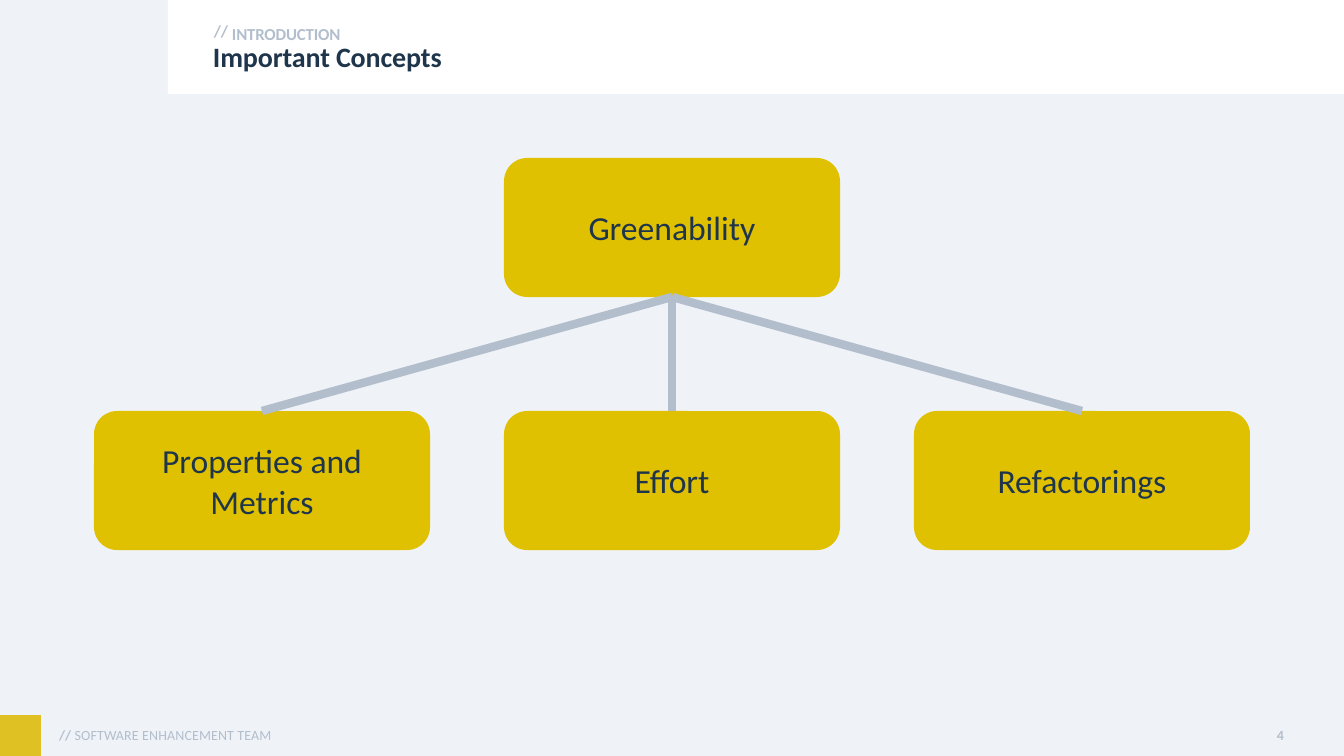
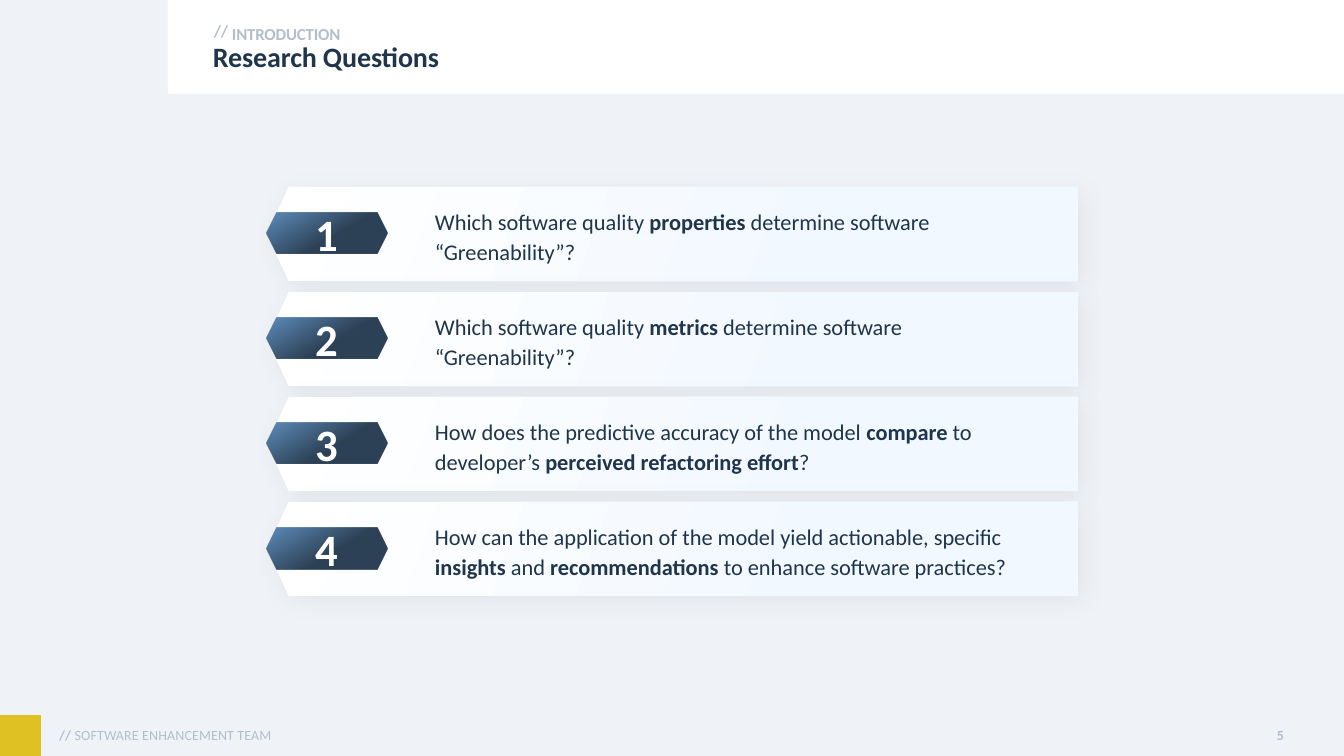
from dataclasses import dataclass

from lxml import etree
from pptx import Presentation
from pptx.dml.color import RGBColor
from pptx.enum.shapes import MSO_CONNECTOR, MSO_SHAPE
from pptx.enum.text import MSO_ANCHOR, PP_ALIGN
from pptx.oxml.ns import qn
from pptx.util import Pt

WIDE, HIGH = 1344, 756
SCALE = 12192000 / WIDE
FONT = "Calibri"
COLORS = {
    "back": "EFF3F8",
    "white": "FFFFFF",
    "gold": "DFC123",
    "box": "DFC101",
    "navy": "1F354B",
    "blue": "5386B8",
    "ice": "F2F8FF",
    "grey": "B2BECD",
    "line": "B3BECD",
    "black": "000000",
}
RECT, ROUND = MSO_SHAPE.RECTANGLE, MSO_SHAPE.ROUNDED_RECTANGLE
PLATE, HEX = MSO_SHAPE.PENTAGON, MSO_SHAPE.HEXAGON
STRAIGHT = MSO_CONNECTOR.STRAIGHT
TOP, MIDDLE = MSO_ANCHOR.TOP, MSO_ANCHOR.MIDDLE
LEFT, CENTER, RIGHT = PP_ALIGN.LEFT, PP_ALIGN.CENTER, PP_ALIGN.RIGHT
BOTTOM_SITE, TOP_SITE = 2, 0


@dataclass(frozen=True)
class Area:
    left: int
    top: int
    width: int
    height: int

    def emu(self) -> tuple[int, ...]:
        return tuple(px(n) for n in (self.left, self.top, self.width, self.height))


@dataclass(frozen=True)
class Style:
    size: int
    color: str
    bold: bool = False
    track: int = 0
    align: PP_ALIGN = LEFT
    anchor: MSO_ANCHOR = TOP
    inset: tuple[int, int, int, int] = (0, 0, 0, 0)
    spacing: float = 1.0
    after: int = 0
    wrap: bool = True


@dataclass(frozen=True)
class Blend:
    start: str
    end: str
    stop: float
    angle: int
    alpha: int = 100


FOOT = Style(10, "line", track=10, anchor=MIDDLE, inset=(0, 4, 10, 5))
PAGE = Style(10, "grey", True, 10, RIGHT, MIDDLE, (0, 4, 10, 5), after=6, wrap=False)
SLASH = Style(12, "grey", True, -10, anchor=MIDDLE, inset=(10, 5, 10, 5))
TOPIC = Style(12, "grey", True, -10, inset=(0, 2, 10, 0), spacing=1.14, after=6)
TITLE = Style(20, "navy", True, -10, spacing=0.9)
NODE = Style(24, "navy", align=CENTER, anchor=MIDDLE, inset=(12, 8, 12, 8))
DIGIT = Style(32, "white", True, align=CENTER, anchor=MIDDLE, inset=(12, 8, 12, 8))
QUERY = Style(16, "navy", inset=(0, 5, 0, 5), spacing=1.14)

PANEL = Blend("white", "ice", 0.71, 160)
BADGE = Blend("blue", "navy", 0.56, 300, 93)

CONCEPTS = ("Properties and Metrics", "Effort", "Refactorings")
QUESTIONS = (
    "Which software quality *properties* determine software “Greenability”?",
    "Which software quality *metrics* determine software “Greenability”?",
    "How does the predictive accuracy of the model *compare* to developer’s "
    "*perceived refactoring effort*?",
    "How can the application of the model yield actionable, specific *insights* and "
    "*recommendations* to enhance software practices?",
)


def px(count: int) -> int:
    return round(count * SCALE)


def rgb(name: str) -> RGBColor:
    return RGBColor.from_string(COLORS[name])


def write(shape, text: str, style: Style) -> None:
    frame = shape.text_frame
    frame.word_wrap = style.wrap
    frame.vertical_anchor = style.anchor
    (frame.margin_left, frame.margin_top,
     frame.margin_right, frame.margin_bottom) = map(px, style.inset)
    para = frame.paragraphs[0]
    para.alignment = style.align
    para.line_spacing = style.spacing
    para.space_after = Pt(style.after)
    for index, part in enumerate(text.split("*")):
        if not part:
            continue
        run = para.add_run()
        run.text = part
        run.font.name = FONT
        run.font.size = Pt(style.size)
        run.font.bold = style.bold or index % 2 == 1
        run.font.color.rgb = rgb(style.color)
        if style.track:
            run.font._element.set("spc", str(style.track))


def label(slide, area: Area, text: str, style: Style) -> None:
    write(slide.shapes.add_textbox(*area.emu()), text, style)


def block(slide, kind: MSO_SHAPE, area: Area, fill: str | Blend):
    shape = slide.shapes.add_shape(kind, *area.emu())
    shape.shadow.inherit = False
    shape.line.fill.background()
    if isinstance(fill, Blend):
        blend(shape, fill)
    else:
        shape.fill.solid()
        shape.fill.fore_color.rgb = rgb(fill)
    return shape


def blend(shape, look: Blend) -> None:
    shape.fill.gradient()
    shape.fill.gradient_angle = look.angle
    first, last = shape.fill.gradient_stops
    first.position, last.position = 0, look.stop
    first.color.rgb, last.color.rgb = rgb(look.start), rgb(look.end)
    if look.alpha < 100:
        for color in shape._element.spPr.iter(qn("a:srgbClr")):
            etree.SubElement(color, qn("a:alpha"), val=str(look.alpha * 1000))


def shade(shape) -> None:
    effects = shape._element.spPr.find(qn("a:effectLst"))
    outer = etree.SubElement(
        effects, qn("a:outerShdw"), blurRad=str(Pt(19.2)), dist=str(Pt(4)),
        dir="2700000", algn="ctr", rotWithShape="0",
    )
    color = etree.SubElement(outer, qn("a:srgbClr"), val=COLORS["black"])
    etree.SubElement(color, qn("a:alpha"), val="6000")


def link(slide, upper, lower) -> None:
    line = slide.shapes.add_connector(STRAIGHT, 0, 0, 0, 0)
    line.begin_connect(upper, BOTTOM_SITE)
    line.end_connect(lower, TOP_SITE)
    line.line.color.rgb = rgb("line")
    line.line.width = Pt(6)
    etree.SubElement(line._element.spPr, qn("a:effectLst"))


def start(deck, title: str, page: int):
    slide = deck.slides.add_slide(deck.slide_layouts[6])
    slide.background.fill.solid()
    slide.background.fill.fore_color.rgb = rgb("back")
    block(slide, RECT, Area(168, 0, WIDE - 168, 94), "white")
    block(slide, RECT, Area(0, HIGH - 41, 41, 41), "gold")
    label(slide, Area(59, 715, 533, 41), "*//* SOFTWARE ENHANCEMENT TEAM", FOOT)
    label(slide, Area(204, 16, 37, 30), "//", SLASH)
    label(slide, Area(1267, 722, 27, 26), str(page), PAGE)
    label(slide, Area(232, 19, 1062, 24), "INTRODUCTION", TOPIC)
    label(slide, Area(213, 43, 1081, 31), title, TITLE)
    return slide


def node(slide, left: int, top: int, text: str):
    shape = block(slide, ROUND, Area(left, top, 336, 139), "box")
    write(shape, text, NODE)
    return shape


def tree(slide) -> None:
    mid, step = 504, 410
    root = node(slide, mid, 158, "Greenability")
    leaves = [node(slide, mid + (i - 1) * step, 411, text)
              for i, text in enumerate(CONCEPTS)]
    for leaf in leaves:
        link(slide, root, leaf)


def query(slide, index: int, text: str) -> None:
    top = 187 + index * 105
    panel = block(slide, PLATE, Area(267, top, 811, 94), PANEL)
    panel.adjustments[0] = 0.23
    panel.rotation = 180
    shade(panel)
    badge = block(slide, HEX, Area(266, top + 26, 121, 41), BADGE)
    write(badge, str(index + 1), DIGIT)
    label(slide, Area(435, top + 12, 595, 76), text, QUERY)


def main() -> None:
    deck = Presentation()
    deck.slide_width, deck.slide_height = px(WIDE), px(HIGH)
    tree(start(deck, "Important Concepts", 4))
    slide = start(deck, "Research Questions", 5)
    for index, text in enumerate(QUESTIONS):
        query(slide, index, text)
    deck.save("out.pptx")


if __name__ == "__main__":
    main()
